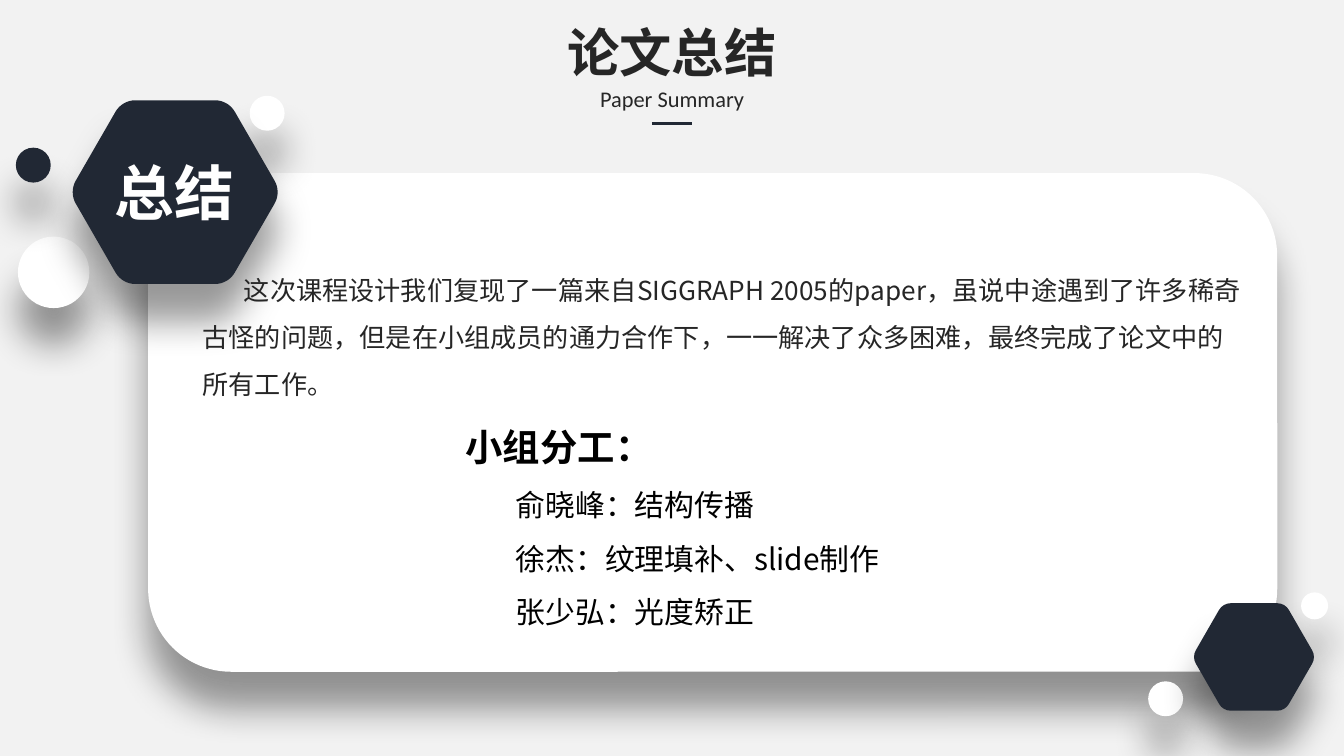
import math

import lxml.etree
import pptx
import pptx.dml.color
import pptx.enum.shapes
import pptx.enum.text
import pptx.oxml
import pptx.oxml.ns
import pptx.util
from pptx.util import Cm

NAVY = "212834"
WHITE = "FFFFFF"
DARK = "262626"
BLACK = "000000"
CJK_FONT = "Noto Sans CJK SC"
SHADOW = (
    '<a:effectLst xmlns:a="http://schemas.openxmlformats.org/drawingml/2006/main">'
    '<a:outerShdw blurRad="254000" dist="254000" dir="5400000" algn="t" rotWithShape="0">'
    '<a:srgbClr val="000000"><a:alpha val="40000"/></a:srgbClr>'
    "</a:outerShdw></a:effectLst>"
)


def color(hex_string):
    return pptx.dml.color.RGBColor.from_string(hex_string)


def add_rounded_hexagon(slide, center_x, center_y, height):
    """Add a flat-topped hexagon; two quadratic curves round each corner."""
    radius = height / 8
    center_distance = (height - 2 * radius) / math.sqrt(3)
    control_radius = radius / math.cos(math.radians(15))
    points = []
    for corner in range(0, 360, 60):
        for turn in (-30, -15, 0, 15, 30):
            reach = control_radius if turn in (-15, 15) else radius
            corner_angle, angle = math.radians(corner), math.radians(corner + turn)
            x = center_distance * math.cos(corner_angle) + reach * math.cos(angle)
            y = center_distance * math.sin(corner_angle) + reach * math.sin(angle)
            points.append((Cm(center_x + x), Cm(center_y + y)))
    builder = slide.shapes.build_freeform(*points[0])
    builder.add_line_segments(points[1:], close=True)
    hexagon = builder.convert_to_shape()
    segments = list(hexagon._element.iter(pptx.oxml.ns.qn("a:lnTo")))
    for index in range(0, 30, 5):
        for control, end in (segments[index:index + 2], segments[index + 2:index + 4]):
            curve = lxml.etree.Element(pptx.oxml.ns.qn("a:quadBezTo"))
            control.addprevious(curve)
            curve.extend([control[0], end[0]])
            curve.getparent().remove(control)
            curve.getparent().remove(end)
    return hexagon


presentation = pptx.Presentation()
presentation.slide_width = Cm(25.4)
presentation.slide_height = Cm(14.28)
slide = presentation.slides.add_slide(presentation.slide_layouts[6])
slide.background.fill.solid()
slide.background.fill.fore_color.rgb = color("F2F2F2")

# Card, circles and hexagons all share the same soft shadow
shape_types = pptx.enum.shapes.MSO_SHAPE
card = slide.shapes.add_shape(
    shape_types.ROUNDED_RECTANGLE, Cm(2.8), Cm(3.27), Cm(21.34), Cm(9.42))
filled_shapes = [(card, WHITE)]

circles = [  # left, top, diameter, fill
    (0.34, 4.47, 1.35, WHITE),
    (0.3, 2.79, 0.66, NAVY),
    (4.72, 1.81, 0.66, WHITE),
    (21.7, 12.87, 0.66, WHITE),
    (24.59, 11.19, 0.51, WHITE),
]
for left, top, diameter, fill in circles:
    circle = slide.shapes.add_shape(
        shape_types.OVAL, Cm(left), Cm(top), Cm(diameter), Cm(diameter))
    filled_shapes.append((circle, fill))

for center_x, center_y, height in [(3.31, 3.63, 3.47), (23.7, 12.41, 2.03)]:
    filled_shapes.append((add_rounded_hexagon(slide, center_x, center_y, height), NAVY))

for shape, fill in filled_shapes:
    shape.fill.solid()
    shape.fill.fore_color.rgb = color(fill)
    shape.line.fill.background()
    shape._element.spPr.append(pptx.oxml.parse_xml(SHADOW))

# Text boxes
center = pptx.enum.text.PP_ALIGN.CENTER
left_aligned = pptx.enum.text.PP_ALIGN.LEFT
summary = (
    "这次课程设计我们复现了一篇来自SIGGRAPH 2005的paper，虽说中途遇到了许多稀奇古怪的问题，"
    "但是在小组成员的通力合作下，一一解决了众多困难，最终完成了论文中的所有工作。"
)
team = "小组分工：\n俞晓峰：结构传播\n徐杰：纹理填补、slide制作\n张少弘：光度矫正"
text_boxes = [  # text, (left, top, width, height), size, font, color, bold, alignment, spacing, wrap
    (summary, (3.58, 4.76, 20.22, 2.84), 14, CJK_FONT, DARK, False, left_aligned, 1.5, True),
    ("总结", (1.89, 2.81, 2.82, 1.63), 32, CJK_FONT, WHITE, True, center, 1, True),
    ("论文总结", (10.45, 0.25, 4.5, 1.45), 28, CJK_FONT, DARK, True, center, 1, False),
    ("Paper Summary", (11.09, 1.48, 3.23, 0.76), 12, "Calibri", DARK, False, center, 1, False),
    (team, (8.55, 7.46, 9.86, 4.5), 16, CJK_FONT, BLACK, False, left_aligned, 1.5, True),
]
frames = {}
for text, box, size, font, text_color, bold, alignment, spacing, wrap in text_boxes:
    text_frame = slide.shapes.add_textbox(*map(Cm, box)).text_frame
    text_frame.text = text
    text_frame.word_wrap = wrap
    text_frame.auto_size = pptx.enum.text.MSO_AUTO_SIZE.SHAPE_TO_FIT_TEXT
    for paragraph in text_frame.paragraphs:
        paragraph.alignment = alignment
        paragraph.line_spacing = spacing
        for run in paragraph.runs:
            run.font.size = pptx.util.Pt(size)
            run.font.name = font
            run.font.bold = bold
            run.font.color.rgb = color(text_color)
            east_asian = lxml.etree.SubElement(run.font._element, pptx.oxml.ns.qn("a:ea"))
            east_asian.set("typeface", font)
    frames[text] = text_frame

# First-line indent of the summary, heading and indented members of the team
frames[summary].paragraphs[0]._p.get_or_add_pPr().set("indent", str(Cm(0.78)))
heading, *members = frames[team].paragraphs
heading.runs[0].font.size = pptx.util.Pt(20)
heading.runs[0].font.bold = True
for member in members:
    member.level = 1
    properties = member._p.get_or_add_pPr()
    properties.set("marL", str(Cm(0.95)))
    properties.set("indent", "0")

# Short rule below the subtitle
rule = slide.shapes.add_connector(
    pptx.enum.shapes.MSO_CONNECTOR.STRAIGHT, Cm(12.32), Cm(2.34), Cm(13.08), Cm(2.34))
rule.line.color.rgb = color(NAVY)
rule.line.width = pptx.util.Pt(1.5)
lxml.etree.SubElement(rule._element.spPr, pptx.oxml.ns.qn("a:effectLst"))

presentation.save("out.pptx")
